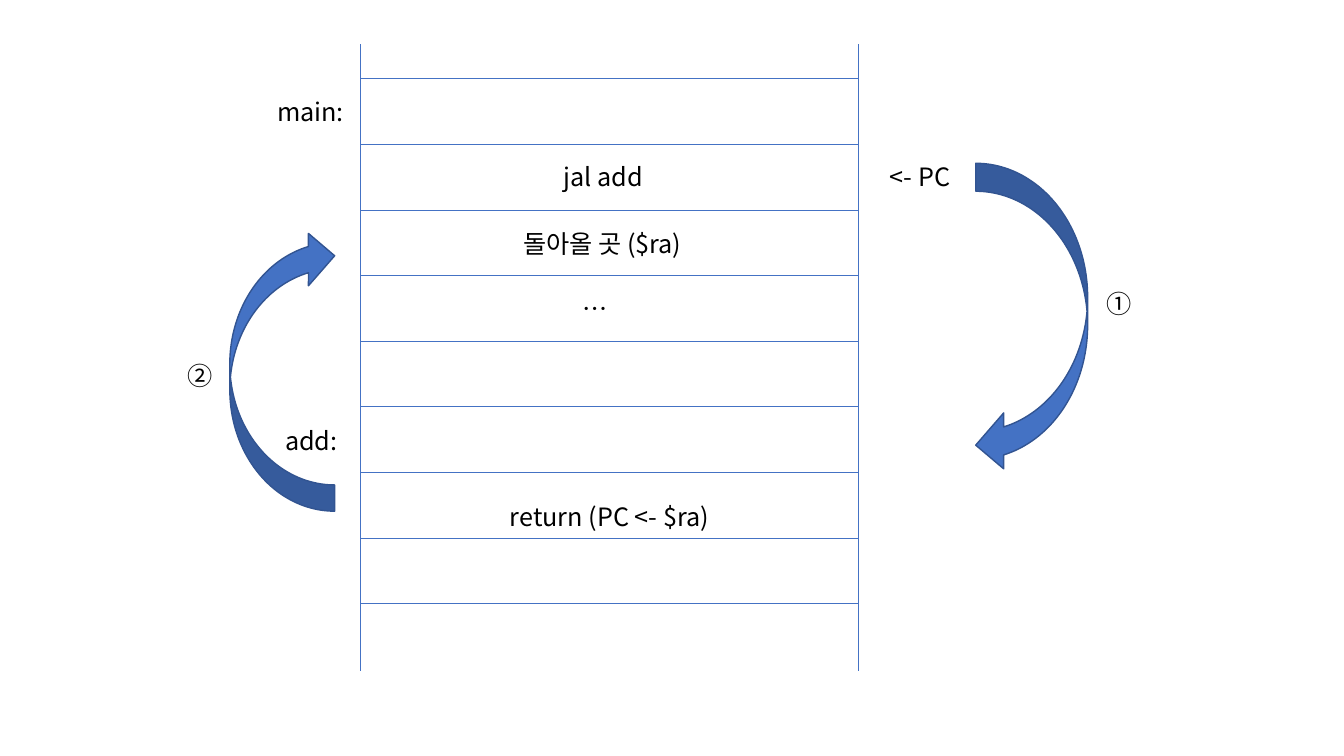
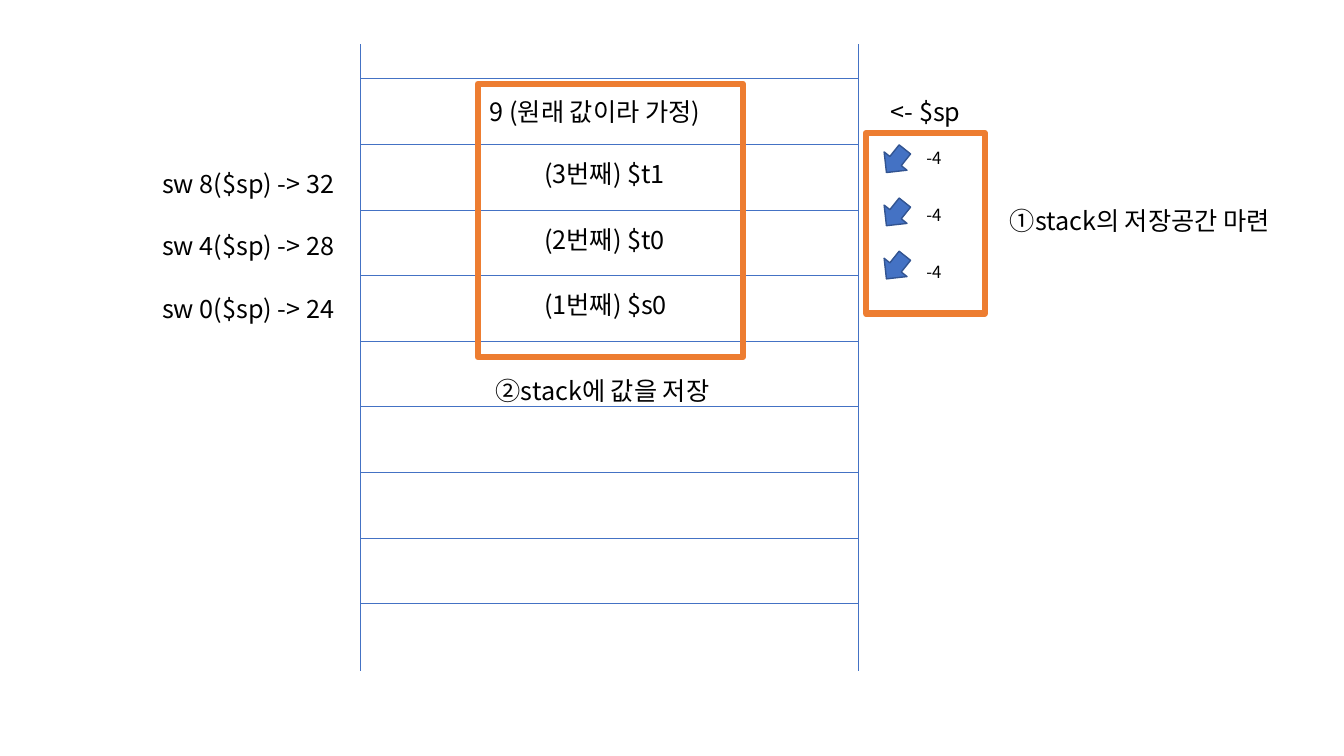
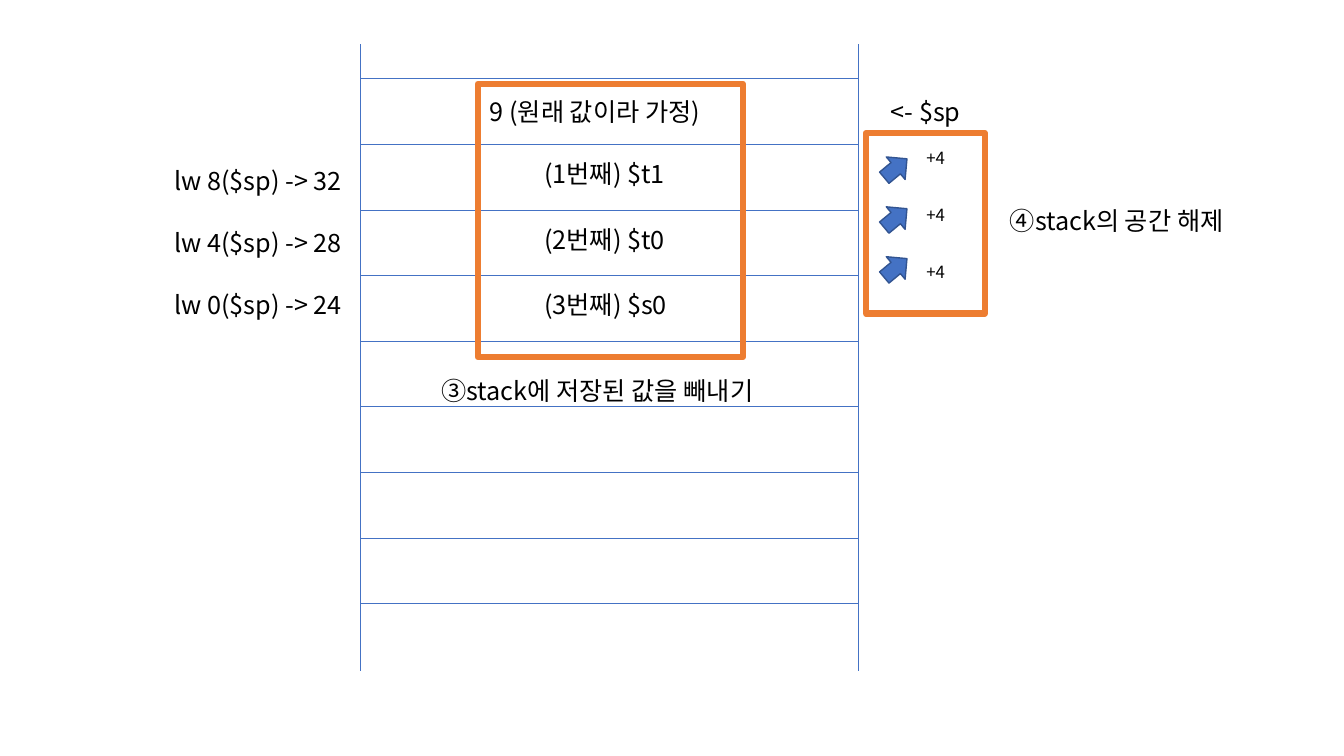
from dataclasses import dataclass

from lxml import etree
from pptx import Presentation
from pptx.dml.color import RGBColor
from pptx.enum.shapes import MSO_CONNECTOR, MSO_SHAPE
from pptx.enum.text import MSO_AUTO_SIZE
from pptx.oxml.ns import qn
from pptx.shapes.autoshape import Shape
from pptx.slide import Slide
from pptx.util import Emu, Inches, Pt

STRAIGHT = MSO_CONNECTOR.STRAIGHT
RECTANGLE = MSO_SHAPE.RECTANGLE
DOWN_ARROW = MSO_SHAPE.DOWN_ARROW
CALL_ARROW = MSO_SHAPE.CURVED_LEFT_ARROW
RETURN_ARROW = MSO_SHAPE.CURVED_RIGHT_ARROW
FIT_SHAPE = MSO_AUTO_SIZE.SHAPE_TO_FIT_TEXT


@dataclass(frozen=True)
class Theme:
    font: str = "Noto Sans CJK KR"
    ink: RGBColor = RGBColor(0x00, 0x00, 0x00)
    blue: RGBColor = RGBColor(0x44, 0x72, 0xC4)
    blue_edge: RGBColor = RGBColor(0x32, 0x54, 0x91)
    orange: RGBColor = RGBColor(0xED, 0x7D, 0x31)
    body: float = 18
    small: float = 12
    rule: float = 0.5
    edge: float = 1
    frame: float = 4.5


@dataclass(frozen=True)
class Grid:
    width: Emu = Inches(13.33)
    height: Emu = Inches(7.5)
    first_row: Emu = Inches(0.78)
    row: Emu = Emu(Inches(5.21) // 8)

    def across(self, percent: float) -> Emu:
        return Emu(round(self.width * percent / 100))

    def down(self, rows: float) -> Emu:
        return Emu(round(self.row * rows))

    def y(self, rows: float) -> Emu:
        return Emu(self.first_row + self.down(rows))


@dataclass(frozen=True)
class Area:
    left: float
    top: float
    width: float
    height: float = 0.61


@dataclass(frozen=True)
class Label:
    text: str
    area: Area
    size: float = Theme.body


@dataclass(frozen=True)
class StackStep:
    instruction: str
    instruction_left: float
    instruction_top: float
    order: tuple[int, int, int]
    offset: str
    arrow_top: float
    arrow_pitch: float
    arrow_turn: float
    pointer_note: Label
    value_note: Label


THEME = Theme()
GRID = Grid()
MEMORY_LEFT, MEMORY_RIGHT = 26.85, 63.9
MEMORY_TOP, MEMORY_BOTTOM = -0.52, 9.03
MEMORY_RULES = 9
REGISTERS = ("$t1", "$t0", "$s0")
VALUE_FRAME = Area(35.55, 0.08, 19.73, 4.16)
POINTER_FRAME = Area(64.43, 0.83, 8.85, 2.75)

CALL_LABELS = (
    Label("main:", Area(19.88, 0.2, 12.75)),
    Label("jal add", Area(41.18, 1.18, 8.4)),
    Label("돌아올 곳 ($ra)", Area(38.18, 2.2, 14.5)),
    Label("…", Area(42.6, 3.2, 2.8)),
    Label("add:", Area(20.48, 5.21, 12.75)),
    Label("return (PC <- $ra)", Area(37.2, 6.36, 16.5)),
    Label("<- PC", Area(65.48, 1.18, 14.85)),
    Label("①", Area(81.6, 3.12, 8.33)),
    Label("②", Area(13.2, 4.21, 8.33)),
)
STACK_LABELS = (
    Label("9 (원래 값이라 가정)", Area(35.7, 0.2, 19.43)),
    Label("<- $sp", Area(65.55, 0.2, 11.33)),
)
STACK_STEPS = (
    StackStep(
        "sw", 11.33, 1.29, (3, 2, 1), "-4", 1.03, 0.81, 38.6,
        Label("①stack의 저장공간 마련", Area(74.4, 1.86, 22.5)),
        Label("②stack에 값을 저장", Area(36.15, 4.44, 18.45)),
    ),
    StackStep(
        "lw", 12.23, 1.24, (1, 2, 3), "+4", 1.14, 0.76, 230.2,
        Label("④stack의 공간 해제", Area(74.4, 1.86, 22.5)),
        Label("③stack에 저장된 값을 빼내기", Area(32.1, 4.44, 26.63)),
    ),
)


def place(area: Area) -> tuple[Emu, Emu, Emu, Emu]:
    return (GRID.across(area.left), GRID.y(area.top),
            GRID.across(area.width), GRID.down(area.height))


def draw_rule(slide: Slide, x1: float, y1: float, x2: float, y2: float) -> None:
    rule = slide.shapes.add_connector(
        STRAIGHT, GRID.across(x1), GRID.y(y1), GRID.across(x2), GRID.y(y2))
    rule.line.color.rgb = THEME.blue
    rule.line.width = Pt(THEME.rule)
    etree.SubElement(rule._element.spPr, qn("a:effectLst"))


def draw_memory(slide: Slide) -> None:
    for side in (MEMORY_LEFT, MEMORY_RIGHT):
        draw_rule(slide, side, MEMORY_TOP, side, MEMORY_BOTTOM)
    for row in range(MEMORY_RULES):
        draw_rule(slide, MEMORY_LEFT, row, MEMORY_RIGHT, row)


def draw_label(slide: Slide, label: Label) -> None:
    frame = slide.shapes.add_textbox(*place(label.area)).text_frame
    frame.word_wrap = True
    frame.auto_size = FIT_SHAPE
    run = frame.paragraphs[0].add_run()
    run.text = label.text
    run.font.size = Pt(label.size)
    run.font.color.rgb = THEME.ink
    run.font.name = THEME.font
    east_asian = etree.SubElement(run.font._element, qn("a:ea"))
    east_asian.set("typeface", THEME.font)


def draw_arrow(slide: Slide, preset: MSO_SHAPE, area: Area, turn: float = 0) -> Shape:
    arrow = slide.shapes.add_shape(preset, *place(area))
    arrow.shadow.inherit = False
    arrow.rotation = turn
    arrow.fill.solid()
    arrow.fill.fore_color.rgb = THEME.blue
    arrow.line.color.rgb = THEME.blue_edge
    arrow.line.width = Pt(THEME.edge)
    return arrow


def draw_frame(slide: Slide, area: Area) -> None:
    frame = slide.shapes.add_shape(RECTANGLE, *place(area))
    frame.shadow.inherit = False
    frame.fill.background()
    frame.line.color.rgb = THEME.orange
    frame.line.width = Pt(THEME.frame)


def draw_call(slide: Slide) -> None:
    draw_memory(slide)
    for label in CALL_LABELS:
        draw_label(slide, label)
    draw_arrow(slide, CALL_ARROW, Area(72.6, 1.29, 8.33, 4.72))
    way_back = draw_arrow(slide, RETURN_ARROW, Area(17.1, 2.3, 7.8, 4.29))
    way_back._element.spPr.xfrm.set("flipV", "1")


def draw_stack(slide: Slide, step: StackStep) -> None:
    draw_memory(slide)
    for label in (*STACK_LABELS, step.pointer_note, step.value_note):
        draw_label(slide, label)
    for index, (register, order) in enumerate(zip(REGISTERS, step.order)):
        draw_label(slide, Label(f"({order}번째) {register}",
                                Area(39.75, 1.14 + index, 11.25)))
        offset, address = 8 - 4 * index, 32 - 4 * index
        draw_label(slide, Label(
            f"{step.instruction} {offset}($sp) -> {address}",
            Area(step.instruction_left, step.instruction_top + 0.95 * index, 16.05)))
        draw_label(slide, Label(
            step.offset, Area(68.18, 0.97 + 0.87 * index, 3.2, 0.46), THEME.small))
        draw_arrow(slide, DOWN_ARROW,
                   Area(65.55, step.arrow_top + step.arrow_pitch * index, 2.18, 0.45),
                   step.arrow_turn)
    draw_frame(slide, POINTER_FRAME)
    draw_frame(slide, VALUE_FRAME)


def main() -> None:
    deck = Presentation()
    deck.slide_width, deck.slide_height = GRID.width, GRID.height
    blank = deck.slide_layouts[6]
    draw_call(deck.slides.add_slide(blank))
    for step in STACK_STEPS:
        draw_stack(deck.slides.add_slide(blank), step)
    deck.save("out.pptx")


main()
